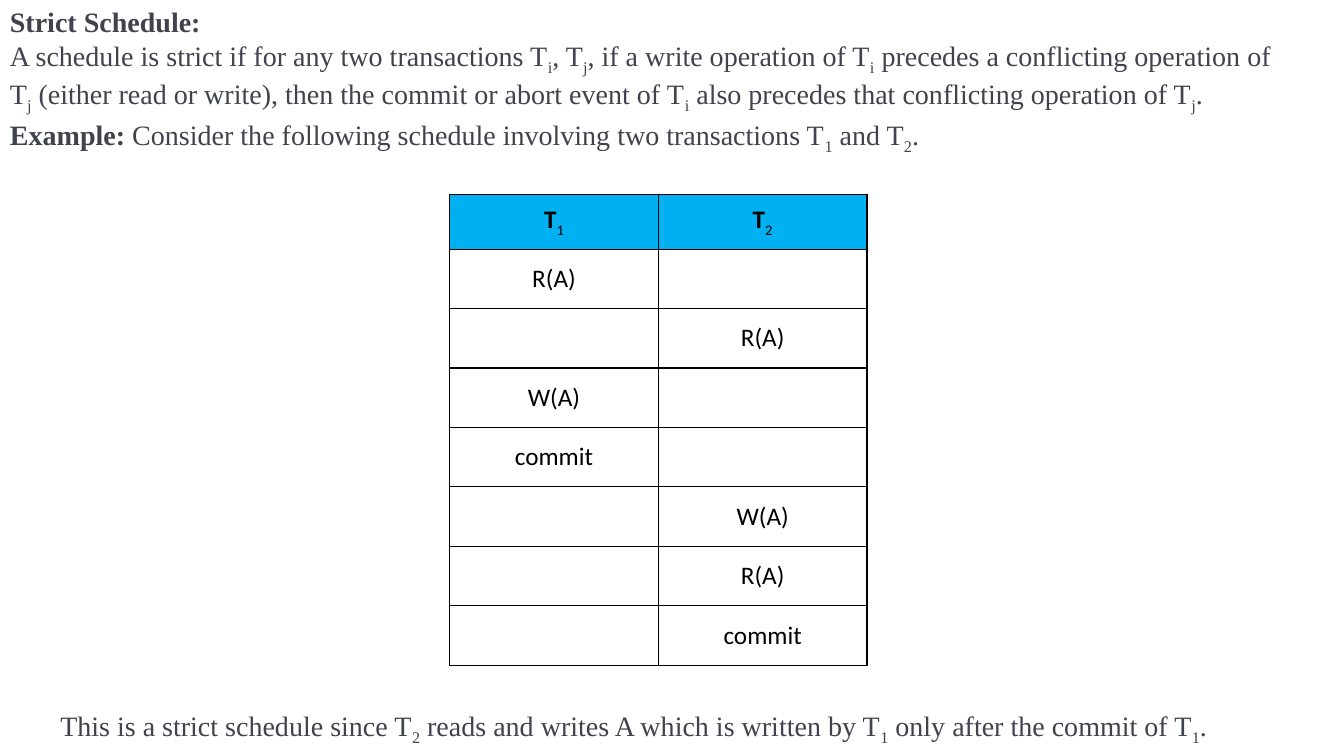
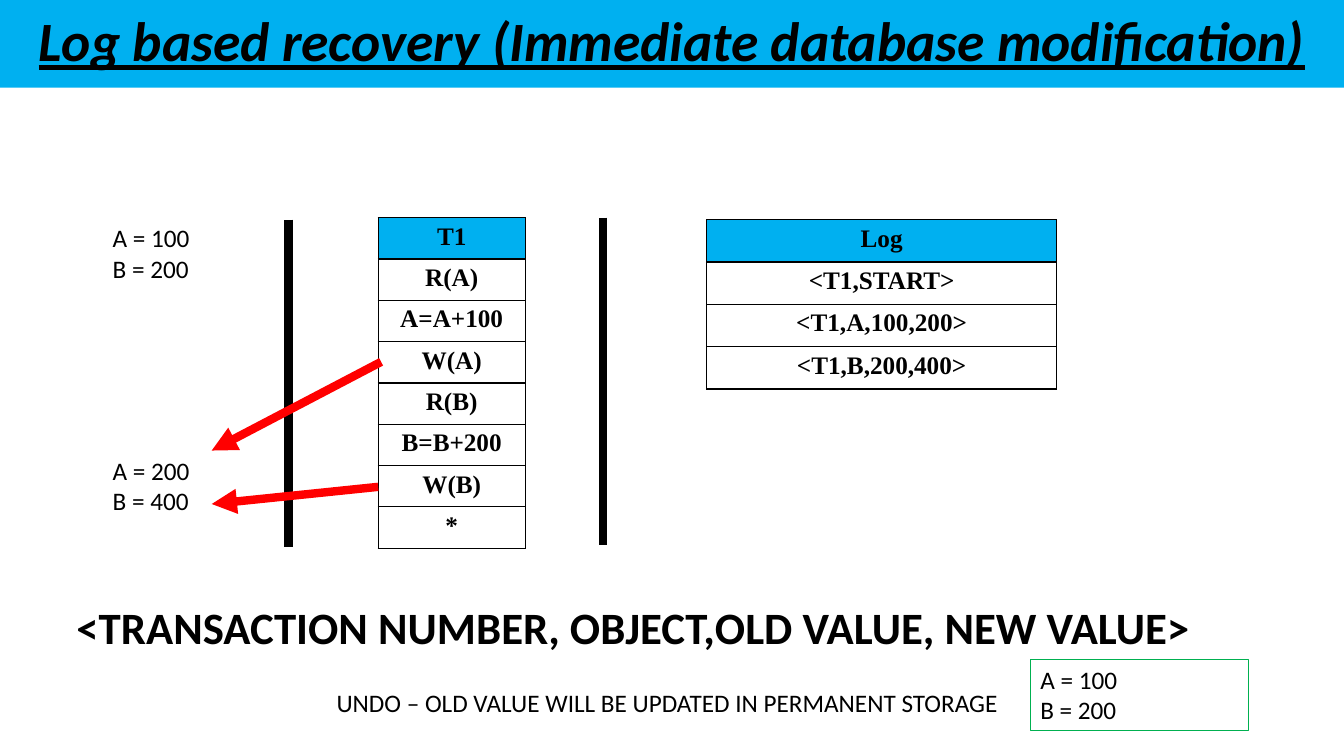
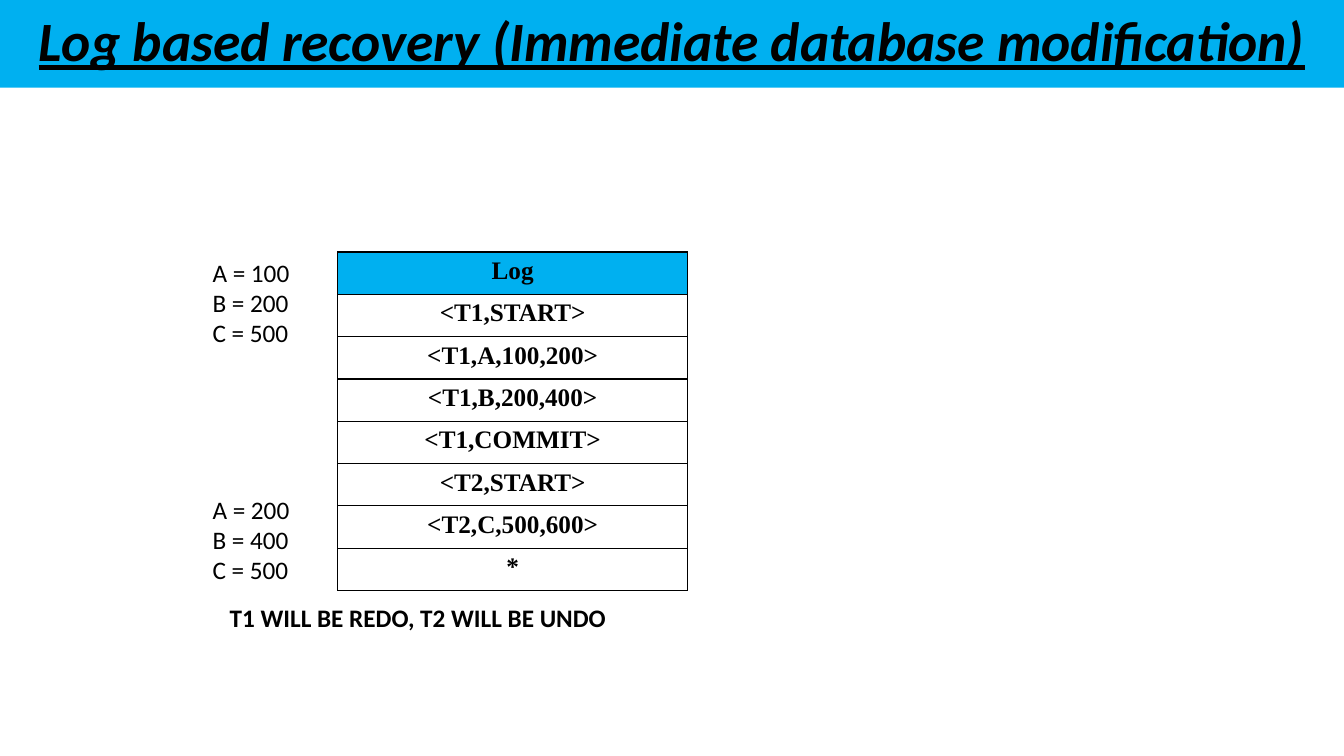
from dataclasses import dataclass

from lxml.etree import SubElement
from pptx import Presentation
from pptx.dml.color import RGBColor
from pptx.enum.shapes import MSO_CONNECTOR as Connector, MSO_SHAPE as Shape
from pptx.enum.text import MSO_ANCHOR as Anchor, PP_ALIGN as Align
from pptx.oxml.ns import qn
from pptx.util import Inches, Pt


@dataclass(frozen=True)
class Theme:
    band: str = "00B0F0"
    black: str = "000000"
    prose: str = "40424E"
    white: str = "FFFFFF"
    green: str = "00B050"
    red: str = "FF0000"
    sans: str = "Calibri"
    serif: str = "Times New Roman"
    title: float = 39.6
    formula: float = 32
    prose_size: float = 20
    body: float = 18
    border: float = 1
    thin: float = 0.75
    thick: float = 6


THEME = Theme()
WIDTH, HEIGHT = 13.33, 7.5
TITLE_HEIGHT = 0.87
NO_BREAK_SPACE = chr(160)

# Content: ~x~ is a subscript, **x** is bold
STRICT_DEFINITION = [
    "**Strict Schedule:**",
    "A schedule is strict if for any two transactions T~i~, T~j~, if a write operation "
    "of T~i~ precedes a conflicting operation of T~j~ (either read or write), then the "
    "commit or abort event of T~i~ also precedes that conflicting operation of T~j~.",
]
STRICT_EXAMPLE = [
    "**Example:** Consider the following schedule involving two transactions T~1~ and T~2~."
]
STRICT_REASON = [
    "This is a strict schedule since T~2~ reads and writes A which is written by T~1~ "
    "only after the commit of T~1~."
]
STRICT_SCHEDULE = [
    ("**T**~1~", "**T**~2~"),
    ("R(A)", ""),
    ("", "R(A)"),
    ("W(A)", ""),
    ("commit", ""),
    ("", "W(A)"),
    ("", "R(A)"),
    ("", "commit"),
]

RECOVERY_TITLE = "Log based recovery (Immediate database modification)"
TRANSACTION = ["T1", "R(A)", "A=A+100", "W(A)", "R(B)", "B=B+200", "W(B)", "*"]
LOG = ["Log", "<T1,START>", "<T1,A,100,200>", "<T1,B,200,400>"]
FULL_LOG = LOG + ["<T1,COMMIT>", "<T2,START>", "<T2,C,500,600>", "*"]
OLD_VALUES = ["A = 100", "B = 200"]
NEW_VALUES = ["A = 200", "B = 400"]
UNTOUCHED = ["C = 500"]
LOG_FORMAT = ["<TRANSACTION NUMBER, OBJECT,OLD VALUE, NEW VALUE>"]
UNDO_RULE = ["UNDO – OLD VALUE WILL BE UPDATED IN PERMANENT STORAGE"]
RECOVERY_RESULT = ["T1 WILL BE REDO, T2 WILL BE UNDO"]
STORAGE_BARS = [(2.86, 2.18), (5.98, 2.16)]
BAR_LENGTH = 3.25
WRITE_ARROWS = [((3.75, 4.83), (2.1, 5)), ((3.78, 3.59), (2.1, 4.47))]


# Text helpers
def color(value):
    return RGBColor.from_string(value)


def style_font(font, size, name, tone, bold=False):
    font.size, font.name, font.bold = Pt(size), name, bold
    font.color.rgb = color(tone)


def write_marked(paragraph, text, size, name, tone, bold=False):
    """Write text with bold and subscript marks; a space after a mark does not break."""
    for mark in ("~", "**"):
        text = text.replace(f"{mark} ", mark + NO_BREAK_SPACE)
    for i, section in enumerate(text.split("**")):
        for j, piece in enumerate(section.split("~")):
            if piece:
                run = paragraph.add_run()
                run.text = piece
                style_font(run.font, size, name, tone, bold or i % 2 == 1)
                if j % 2:
                    run.font._element.set("baseline", "-25000")


def fill_frame(frame, lines, size, name, tone, bold=False):
    frame.word_wrap = True
    for index, line in enumerate(lines):
        paragraph = frame.add_paragraph() if index else frame.paragraphs[0]
        paragraph.alignment = Align.LEFT
        write_marked(paragraph, line, size, name, tone, bold)


def add_text(slide, lines, left, top, width, height, size=THEME.body, bold=False):
    box = slide.shapes.add_textbox(*map(Inches, (left, top, width, height)))
    fill_frame(box.text_frame, lines, size, THEME.sans, THEME.black, bold)


def add_prose(slide, lines, left, top, height):
    box = slide.shapes.add_textbox(*map(Inches, (left, top, WIDTH - left, height)))
    fill_frame(box.text_frame, lines, THEME.prose_size, THEME.serif, THEME.prose)


# Shape helpers
def add_rectangle(slide, left, top, width, height, fill, line=None):
    shape = slide.shapes.add_shape(
        Shape.RECTANGLE, *map(Inches, (left, top, width, height)))
    shape.shadow.inherit = False
    shape.fill.solid()
    shape.fill.fore_color.rgb = color(fill)
    if line:
        shape.line.color.rgb = color(line)
        shape.line.width = Pt(THEME.thin)
    else:
        shape.line.fill.background()
    return shape


def add_title_band(slide, title):
    band = add_rectangle(slide, 0, 0, WIDTH, TITLE_HEIGHT, THEME.band)
    frame = band.text_frame
    frame.word_wrap = True
    frame.vertical_anchor = Anchor.MIDDLE
    frame.text = title
    paragraph = frame.paragraphs[0]
    paragraph.alignment = Align.CENTER
    paragraph.line_spacing = 0.9
    font = paragraph.runs[0].font
    style_font(font, THEME.title, THEME.sans, THEME.black, bold=True)
    font.italic = font.underline = True


def add_line(slide, start, end, tone, arrow=False):
    line = slide.shapes.add_connector(
        Connector.STRAIGHT, *map(Inches, (*start, *end)))
    line.line.color.rgb = color(tone)
    line.line.width = Pt(THEME.thick)
    if arrow:
        SubElement(line.line._get_or_add_ln(), qn("a:tailEnd"), type="triangle")
    SubElement(line._element.spPr, qn("a:effectLst"))


# Table helpers
def add_borders(cell):
    properties = cell._tc.get_or_add_tcPr()
    for side in ("lnL", "lnR", "lnT", "lnB"):
        border = SubElement(properties, qn(f"a:{side}"), w=str(Pt(THEME.border)))
        fill = SubElement(border, qn("a:solidFill"))
        SubElement(fill, qn("a:srgbClr"), val=THEME.black)


def add_grid(slide, rows, left, top, column_width, heights, name, bold=False,
             anchor=Anchor.TOP, padding=0.05):
    columns = len(rows[0])
    frame = slide.shapes.add_table(
        len(rows), columns, Inches(left), Inches(top),
        Inches(column_width * columns), Inches(sum(heights)))
    table = frame.table
    table.first_row = table.horz_banding = False
    for column in table.columns:
        column.width = Inches(column_width)
    for r, (row, height) in enumerate(zip(rows, heights)):
        table.rows[r].height = Inches(height)
        for c, text in enumerate(row):
            cell = table.cell(r, c)
            add_borders(cell)
            if r == 0:
                cell.fill.solid()
                cell.fill.fore_color.rgb = color(THEME.band)
            else:
                cell.fill.background()
            cell.vertical_anchor = anchor
            cell.margin_top = cell.margin_bottom = Inches(padding)
            paragraph = cell.text_frame.paragraphs[0]
            paragraph.alignment = Align.CENTER
            write_marked(paragraph, text, THEME.body, name, THEME.black, bold)


def add_list_table(slide, entries, left, top, width, row_height):
    add_grid(slide, [(entry,) for entry in entries], left, top, width,
             [row_height] * len(entries), THEME.serif, bold=True)


# Slides
def build_strict_schedule(slide):
    add_prose(slide, STRICT_DEFINITION, 0, 0, 1.11)
    add_prose(slide, STRICT_EXAMPLE, 0, 1.12, 0.44)
    heights = [0.54] + [0.59] * (len(STRICT_SCHEDULE) - 1)
    add_grid(slide, STRICT_SCHEDULE, 4.46, 1.93, 2.07, heights, THEME.sans,
             anchor=Anchor.MIDDLE, padding=0.1)
    add_prose(slide, STRICT_REASON, 0.5, 6.98, 0.44)


def build_undo(slide):
    add_title_band(slide, RECOVERY_TITLE)
    add_text(slide, OLD_VALUES, 1.02, 2.16, 2.16, 0.71)
    add_list_table(slide, TRANSACTION, 3.75, 2.16, 1.46, 0.41)
    add_list_table(slide, LOG, 7.01, 2.18, 3.47, 0.42)
    add_text(slide, LOG_FORMAT, 0.66, 5.9, 11.27, 0.64, THEME.formula, bold=True)
    for x, top in STORAGE_BARS:
        add_line(slide, (x, top), (x, top + BAR_LENGTH), THEME.black)
    add_text(slide, NEW_VALUES, 1.02, 4.47, 2.16, 0.71)
    add_text(slide, UNDO_RULE, 3.24, 6.77, 7.47, 0.4)
    for start, end in WRITE_ARROWS:
        add_line(slide, start, end, THEME.red, arrow=True)
    restored = add_rectangle(slide, 10.22, 6.54, 2.16, 0.71, THEME.white, THEME.green)
    restored.text_frame.vertical_anchor = Anchor.TOP
    fill_frame(restored.text_frame, OLD_VALUES, THEME.body, THEME.sans, THEME.black)


def build_redo_and_undo(slide):
    add_title_band(slide, RECOVERY_TITLE)
    add_text(slide, OLD_VALUES + UNTOUCHED, 2.01, 2.5, 2.16, 1.01)
    add_list_table(slide, FULL_LOG, 3.35, 2.5, 3.47, 0.42)
    add_text(slide, NEW_VALUES + UNTOUCHED, 2.01, 4.85, 2.16, 1.01)
    add_text(slide, RECOVERY_RESULT, 2.18, 5.93, 3.98, 0.4, bold=True)


def main():
    presentation = Presentation()
    presentation.slide_width, presentation.slide_height = Inches(WIDTH), Inches(HEIGHT)
    blank = presentation.slide_layouts[6]
    for build in (build_strict_schedule, build_undo, build_redo_and_undo):
        build(presentation.slides.add_slide(blank))
    presentation.save("out.pptx")


if __name__ == "__main__":
    main()
